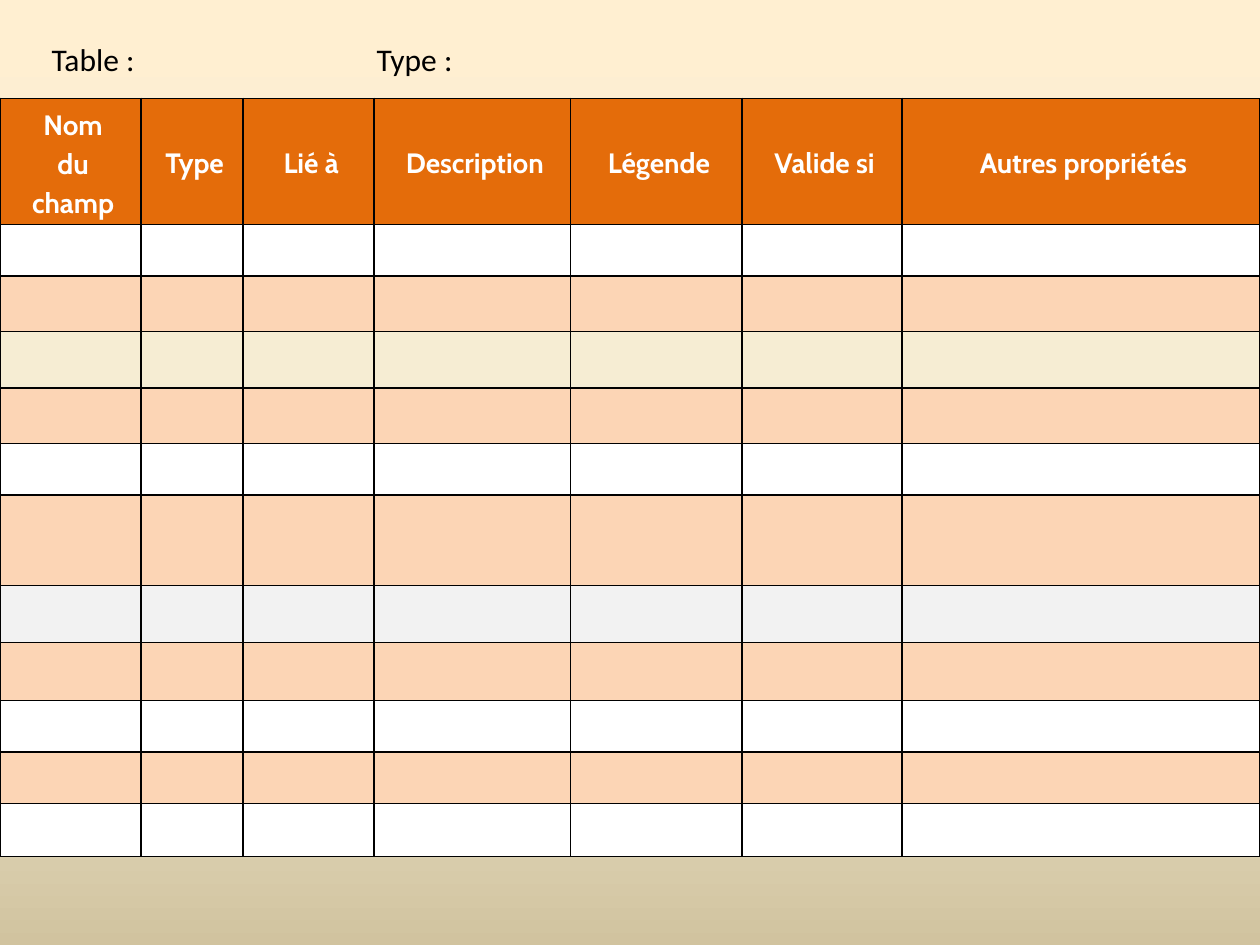
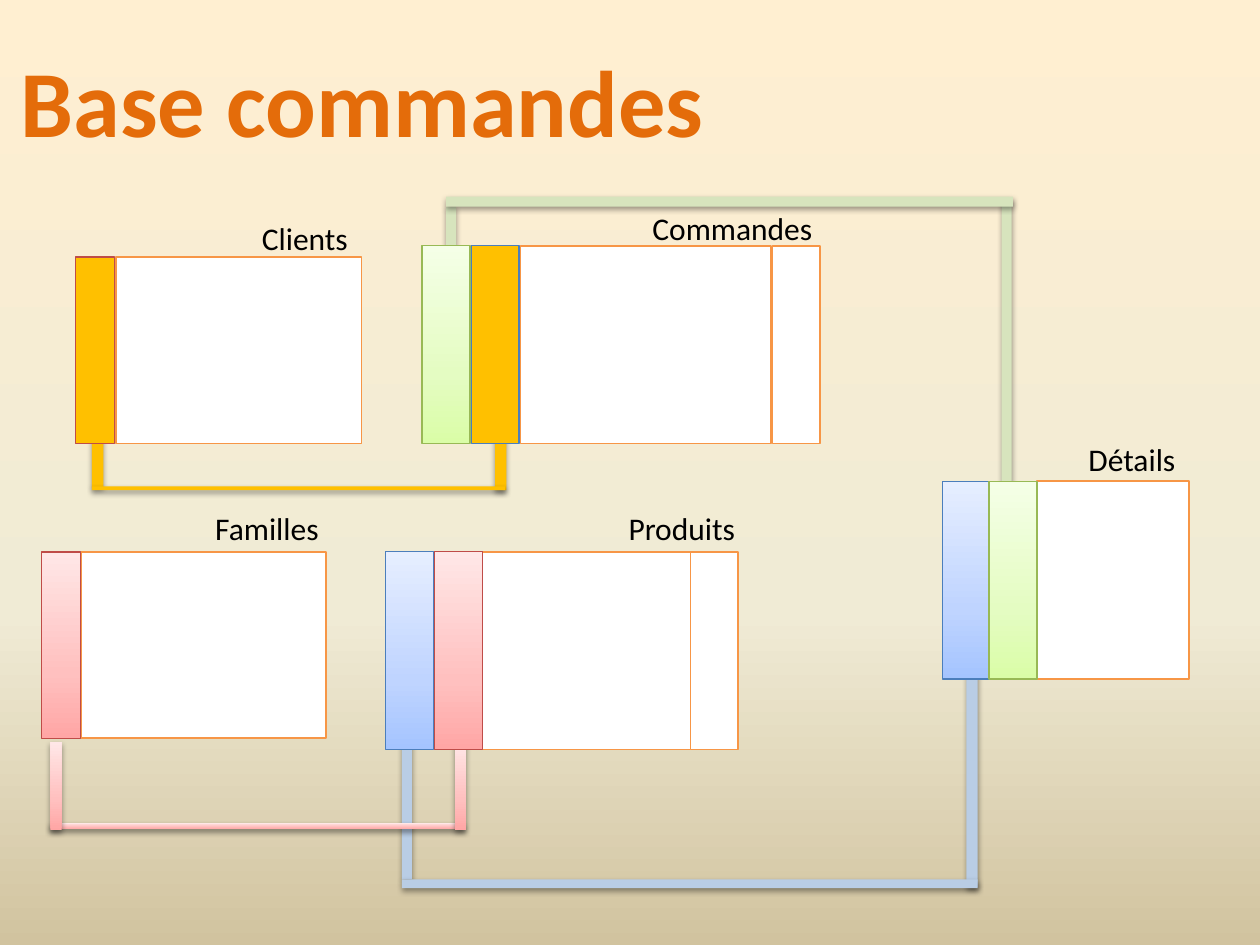
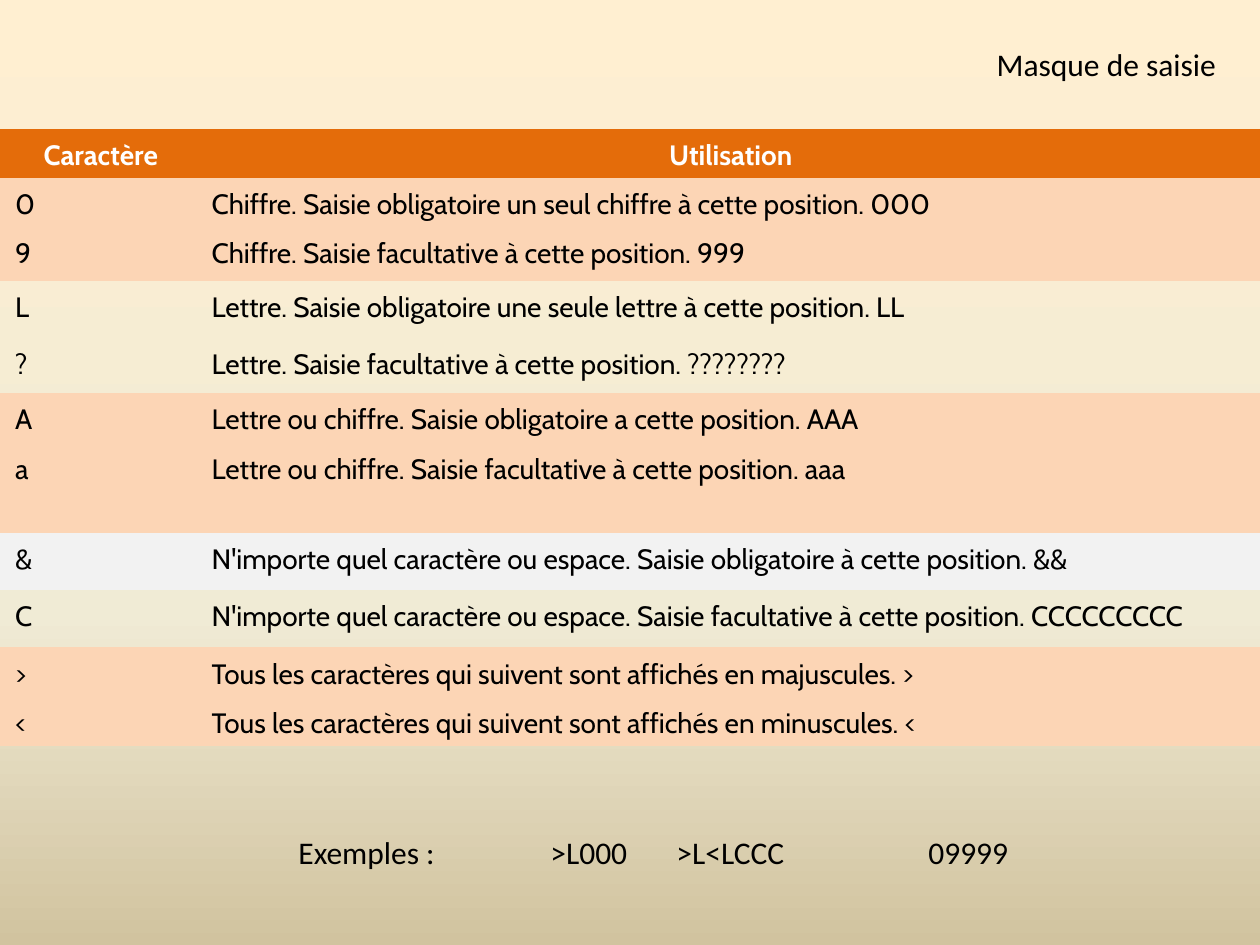
"""Build three slides on database tables, their relations and input masks."""
import copy
import dataclasses

import lxml.etree
import pptx
import pptx.dml.color
import pptx.enum.shapes
import pptx.enum.text
import pptx.oxml.ns
import pptx.util

Inches = pptx.util.Inches
Pt = pptx.util.Pt
qn = pptx.oxml.ns.qn
Align = pptx.enum.text.PP_ALIGN
Anchor = pptx.enum.text.MSO_ANCHOR

BLUES = ((0, "A4C4FF"), (35, "BFD4FF"), (100, "E6EEFF"))
GREENS = ((0, "DAFDA7"), (35, "E4FCC2"), (100, "F5FFE7"))
PINKS = ((0, "FFA6A5"), (35, "FFC0BF"), (100, "FFE7E7"))
GOLD = "FFC000"


@dataclasses.dataclass(frozen=True)
class Theme:
    background: tuple = ((0, "FFEFD1"), (65, "F0EBD5"), (100, "D1C39F"))
    accent: str = "E46C0A"
    peach: str = "FCD5B5"
    grey: str = "F2F2F2"
    white: str = "FFFFFF"
    black: str = "000000"
    order_link: str = "D7E4BD"
    product_link: str = "B9CDE5"
    font: str = "Calibri"
    table_font: str = "Cabin"
    title_size: int = 54
    label_size: int = 18
    table_size: int = 16
    plain_table: str = "{2D5ABB26-0587-4C30-8999-92F81FD0307C}"
    columns: tuple = (
        ("field", ("FFFFFF", "F79646", 1)),
        ("product", (BLUES, "4B7EBC", 0.75)),
        ("order", (GREENS, "98B955", 0.75)),
        ("family", (PINKS, "BF4C48", 0.75)),
        ("client", (GOLD, "BF4C48", 0.75)),
        ("client_key", (GOLD, "4B7EBC", 0.75)),
    )


THEME = Theme()


def color(value):
    return pptx.dml.color.RGBColor.from_string(value)


def box(*lengths):
    return [Inches(length) for length in lengths]


def paint(fill, value, element, angle=90):
    if value is None:
        fill.background()
    elif isinstance(value, str):
        fill.solid()
        fill.fore_color.rgb = color(value)
    else:
        fill.gradient()
        fill.gradient_angle = angle
        stops = element.find(".//" + qn("a:gsLst"))
        stops.append(copy.deepcopy(stops[0]))
        for stop, (position, shade) in zip(fill.gradient_stops, value):
            stop.position = position / 100
            stop.color.rgb = color(shade)


def write(text_frame, text, *, size=THEME.label_size, font=THEME.font, shade=THEME.black,
          bold=False, align=Align.LEFT, line_spacing=None, space=0, indent=0, tabs=()):
    paragraph = text_frame.paragraphs[0]
    paragraph.text = text
    paragraph.alignment = align
    paragraph.line_spacing = line_spacing
    paragraph.space_before = paragraph.space_after = Pt(space)
    properties = paragraph._p.get_or_add_pPr()
    if indent:
        properties.set("marL", str(Inches(indent)))
        properties.set("indent", "0")
    if tabs:
        tab_list = lxml.etree.SubElement(properties, qn("a:tabLst"))
        for position in tabs:
            lxml.etree.SubElement(tab_list, qn("a:tab"), pos=str(Inches(position)), algn="l")
    for run in paragraph.runs:
        run.font.size = Pt(size)
        run.font.name = font
        run.font.bold = bold
        run.font.color.rgb = color(shade)


class Deck:
    def __init__(self, theme):
        self.theme = theme
        self.column_styles = dict(theme.columns)
        self.presentation = pptx.Presentation()
        self.presentation.slide_width, self.presentation.slide_height = box(10, 7.5)
        master = self.presentation.slide_master
        paint(master.background.fill, theme.background, master.element, angle=270)
        self.slide = None

    def new_slide(self):
        self.slide = self.presentation.slides.add_slide(self.presentation.slide_layouts[5])

    def fit_text(self, shape, text, **style):
        frame = shape.text_frame
        frame.word_wrap = False
        frame.auto_size = pptx.enum.text.MSO_AUTO_SIZE.SHAPE_TO_FIT_TEXT
        frame.vertical_anchor = Anchor.TOP
        write(frame, text, **style)

    def title(self, text, left, top, width, height=0.4, **style):
        shape = self.slide.shapes.title
        shape.left, shape.top, shape.width, shape.height = box(left, top, width, height)
        self.fit_text(shape, text, **style)

    def label(self, text, left, top, width, height=0.4, **style):
        shape = self.slide.shapes.add_textbox(*box(left, top, width, height))
        self.fit_text(shape, text, **style)

    def rectangle(self, place, fill, shapes, line=None, line_width=0):
        shape = shapes.add_shape(pptx.enum.shapes.MSO_SHAPE.RECTANGLE, *box(*place))
        shape.shadow.inherit = False
        paint(shape.fill, fill, shape.element)
        paint(shape.line.fill, line, shape.element)
        if line:
            shape.line.width = Pt(line_width)
        return shape

    def link(self, fill, bars):
        group = self.slide.shapes.add_group_shape()
        for bar in bars:
            shape = self.rectangle(bar, fill, group.shapes)
            effects = shape.element.spPr.find(qn("a:effectLst"))
            shadow = lxml.etree.SubElement(effects, qn("a:outerShdw"), blurRad=str(Pt(3.1)),
                                           dist=str(Pt(1.6)), dir="5400000", rotWithShape="0")
            shade = lxml.etree.SubElement(shadow, qn("a:srgbClr"), val=self.theme.black)
            lxml.etree.SubElement(shade, qn("a:alpha"), val="38000")

    def entity(self, name, name_place, top, height, columns):
        self.label(name, *name_place)
        for left, width, kind in columns:
            fill, line, line_width = self.column_styles[kind]
            self.rectangle((left, top, width, height), fill, self.slide.shapes, line, line_width)

    def border(self, cell):
        properties = cell._tc.get_or_add_tcPr()
        for index, side in enumerate(("a:lnL", "a:lnR", "a:lnT", "a:lnB")):
            line = lxml.etree.Element(qn(side), w=str(Pt(1)))
            fill = lxml.etree.SubElement(line, qn("a:solidFill"))
            lxml.etree.SubElement(fill, qn("a:srgbClr"), val=self.theme.black)
            properties.insert(index, line)

    def table(self, top, widths, heights, fills, rows, header_anchor, bordered=False):
        frame = self.slide.shapes.add_table(len(heights), len(widths),
                                            *box(0, top, sum(widths), sum(heights)))
        frame.element.find(".//" + qn("a:tableStyleId")).text = self.theme.plain_table
        table = frame.table
        table.first_row = table.horz_banding = False
        for column, width in zip(table.columns, widths):
            column.width = Inches(width)
        for index, (row, height, fill) in enumerate(zip(table.rows, heights, fills)):
            row.height = Inches(height)
            header = index == 0
            for position, cell in enumerate(row.cells):
                cell.margin_left = cell.margin_right = Inches(0.08)
                cell.margin_top = cell.margin_bottom = Inches(0.04)
                cell.vertical_anchor = header_anchor if header else Anchor.TOP
                paint(cell.fill, fill, cell._tc)
                if bordered:
                    self.border(cell)
                if index < len(rows):
                    write(cell.text_frame, rows[index][position], size=self.theme.table_size,
                          font=self.theme.table_font, bold=header,
                          shade=self.theme.white if header else self.theme.black,
                          align=Align.CENTER if header else Align.LEFT,
                          line_spacing=1.15, space=3, indent=0.04)


def field_sheet(deck):
    theme = deck.theme
    deck.new_slide()
    deck.title("Table :", 0.31, 0.27, 0.87)
    header = ("Nom\ndu champ", "Type", "Lié à", "Description", "Légende", "Valide si",
              "Autres propriétés")
    fills = (theme.accent, theme.white, theme.peach, None, theme.peach, theme.white, theme.peach,
             theme.grey, theme.peach, theme.white, theme.peach, theme.white)
    deck.table(0.78, (1.12, 0.81, 1.04, 1.56, 1.36, 1.27, 2.84),
               (1, 0.41, 0.44, 0.45, 0.44, 0.41, 0.72, 0.45, 0.46, 0.41, 0.41, 0.42),
               fills, [header], Anchor.MIDDLE, bordered=True)
    deck.label("Type :", 2.89, 0.27, 0.81)


def order_database(deck):
    theme = deck.theme
    deck.new_slide()
    deck.title("Base commandes", 0.04, 0.29, 5.67, 1.01, size=theme.title_size,
               shade=theme.accent, bold=True, align=Align.CENTER)
    deck.link(theme.order_link, ((3.54, 1.64, 0.08, 1.54), (7.95, 1.58, 0.08, 2.49),
                                 (3.54, 1.56, 4.5, 0.08)))
    deck.link(theme.product_link, ((3.19, 5.57, 0.08, 1.41), (7.67, 5.2, 0.09, 1.84),
                                   (3.19, 6.98, 4.57, 0.07)))
    deck.link(GOLD, ((0.73, 3.17, 0.09, 0.7), (3.93, 3.19, 0.09, 0.7), (0.73, 3.86, 3.28, 0.03)))
    deck.link(PINKS, ((0.4, 6.53, 3.28, 0.05), (0.4, 5.89, 0.09, 0.7), (3.61, 5.89, 0.09, 0.7)))
    deck.entity("Produits", (4.89, 3.99, 1.06), 4.38, 1.57,
                ((3.45, 2.03, "field"), (3.06, 0.38, "product"), (3.45, 0.38, "family"),
                 (5.48, 0.38, "field")))
    deck.entity("Familles", (1.61, 3.99, 1.03), 4.38, 1.48,
                ((0.64, 1.95, "field"), (0.33, 0.31, "family")))
    deck.entity("Commandes", (5.08, 1.61, 1.49), 1.95, 1.57,
                ((4.13, 1.99, "field"), (3.35, 0.38, "order"), (6.13, 0.38, "field"),
                 (3.74, 0.38, "client_key")))
    deck.entity("Détails", (8.54, 3.44, 0.9), 3.82, 1.57,
                ((8.23, 1.21, "field"), (7.48, 0.38, "product"), (7.85, 0.38, "order")))
    deck.entity("Clients", (1.98, 1.69, 0.89), 2.04, 1.48,
                ((0.92, 1.95, "field"), (0.6, 0.31, "client")))


def input_mask(deck):
    theme = deck.theme
    deck.new_slide()
    deck.title("Masque de saisie", 7.81, 0.31, 1.96)
    rows = (
        ("Caractère", "Utilisation"),
        ("0", "Chiffre. Saisie obligatoire un seul chiffre à cette position. 000"),
        ("9", "Chiffre. Saisie facultative à cette position. 999"),
        ("L", "Lettre. Saisie obligatoire une seule lettre à cette position. LL"),
        ("?", "Lettre. Saisie facultative à cette position. ????????"),
        ("A", "Lettre ou chiffre. Saisie obligatoire a cette position. AAA"),
        ("a", "Lettre ou chiffre. Saisie facultative à cette position. aaa"),
        ("&", "N'importe quel caractère ou espace. Saisie obligatoire à cette position. &&"),
        ("C", "N'importe quel caractère ou espace. Saisie facultative à cette position. CCCCCCCCC"),
        (">", "Tous les caractères qui suivent sont affichés en majuscules. >"),
        ("<", "Tous les caractères qui suivent sont affichés en minuscules. <"),
    )
    fills = (theme.accent, theme.peach, theme.peach, None, None, theme.peach, theme.peach,
             theme.grey, None, theme.peach, theme.peach)
    deck.table(1.02, (1.56, 8.44),
               (0.39, 0.39, 0.43, 0.45, 0.44, 0.39, 0.72, 0.45, 0.46, 0.39, 0.39),
               fills, rows, Anchor.BOTTOM)
    deck.label("Exemples :\t>L000\t>L<LCCC\t09999", 2.27, 6.56, 5.89, tabs=(2, 3, 5))


def main():
    deck = Deck(THEME)
    field_sheet(deck)
    order_database(deck)
    input_mask(deck)
    deck.presentation.save("out.pptx")


if __name__ == "__main__":
    main()
